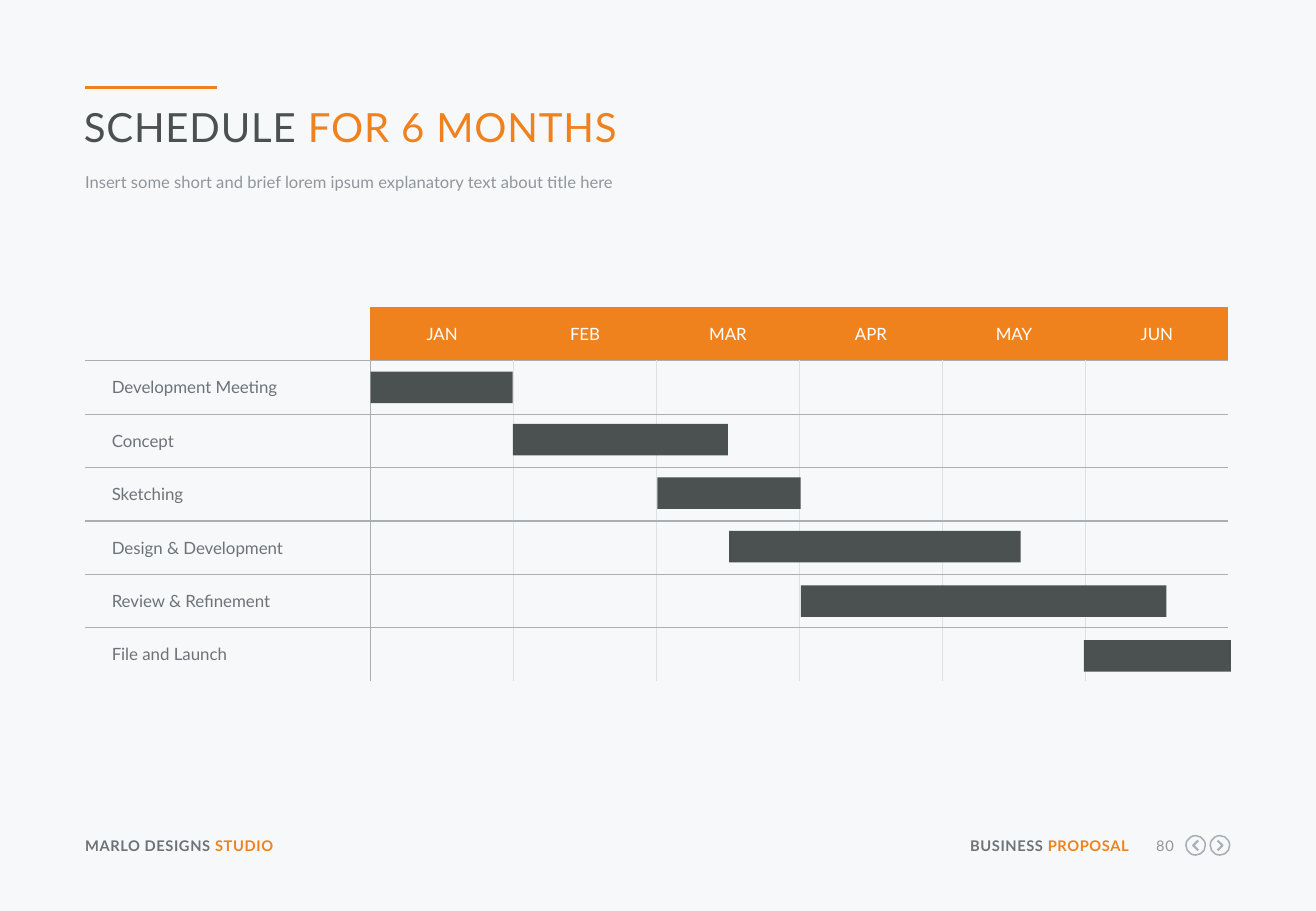
from pptx import Presentation
from pptx.dml.color import RGBColor
from pptx.enum.shapes import MSO_CONNECTOR, MSO_SHAPE
from pptx.enum.text import MSO_ANCHOR, PP_ALIGN
from pptx.oxml.ns import qn
from pptx.util import Inches, Pt
from lxml import etree

STRAIGHT = MSO_CONNECTOR.STRAIGHT
RECTANGLE, OVAL = MSO_SHAPE.RECTANGLE, MSO_SHAPE.OVAL
MIDDLE = MSO_ANCHOR.MIDDLE
LEFT, CENTER, RIGHT = PP_ALIGN.LEFT, PP_ALIGN.CENTER, PP_ALIGN.RIGHT

BACKGROUND = RGBColor(0xF6, 0xF8, 0xFA)
ORANGE = RGBColor(0xF0, 0x82, 0x1E)
DARK = RGBColor(0x4B, 0x50, 0x50)
SLATE = RGBColor(0x6E, 0x73, 0x78)
MUTED = RGBColor(0x91, 0x96, 0x9B)
RULE = RGBColor(0xAA, 0xAF, 0xB4)
FAINT_RULE = RGBColor(0xDC, 0xE1, 0xE6)
WHITE = RGBColor(0xFF, 0xFF, 0xFF)

FONT = "Lato"
NO_GRID_STYLE = "{2D5ABB26-0587-4C30-8999-92F81FD0307C}"

MARGIN = 0.7
TABLE_TOP, TABLE_WIDTH, TASK_WIDTH, ROW_HEIGHT = 2.53, 9.41, 2.35, 0.44
BAR_HEIGHT = 0.26
MONTHS = ["JAN", "FEB", "MAR", "APR", "MAY", "JUN"]
# task, bar left, bar top, bar width
TASKS = [
    ("Development Meeting", 3.05, 3.06, 1.17),
    ("Concept", 4.22, 3.49, 1.77),
    ("Sketching", 5.41, 3.93, 1.18),
    ("Design & Development", 6.0, 4.37, 2.4),
    ("Review & Refinement", 6.59, 4.82, 3.01),
    ("File and Launch", 8.92, 5.27, 1.21),
]


class ScheduleSlide:
    def __init__(self, presentation):
        self.slide = presentation.slides.add_slide(presentation.slide_layouts[6])
        self.shapes = self.slide.shapes
        fill = self.slide.background.fill
        fill.solid()
        fill.fore_color.rgb = BACKGROUND

    def add_run(self, paragraph, text, size, color, bold=False, spacing=0):
        run = paragraph.add_run()
        run.text = text
        run.font.name = FONT
        run.font.size = Pt(size)
        run.font.bold = bold
        run.font.color.rgb = color
        if spacing:
            run._r.get_or_add_rPr().set("spc", str(round(spacing * 100)))

    def text(self, left, top, width, height, parts, size, align=LEFT,
             bold=False, spacing=0, line_spacing=None):
        """Add a one-paragraph box; parts lists (text, colour) pairs."""
        frame = self.shapes.add_textbox(
            Inches(left), Inches(top), Inches(width), Inches(height)).text_frame
        frame.word_wrap = True
        frame.margin_left = frame.margin_right = 0
        frame.margin_top = frame.margin_bottom = 0
        paragraph = frame.paragraphs[0]
        paragraph.alignment = align
        if line_spacing:
            paragraph.line_spacing = Pt(line_spacing)
        for words, color in parts:
            self.add_run(paragraph, words, size, color, bold, spacing)

    def line(self, left, top, right, color, weight):
        rule = self.shapes.add_connector(
            STRAIGHT, Inches(left), Inches(top), Inches(right), Inches(top))
        rule.line.color.rgb = color
        rule.line.width = Pt(weight)
        etree.SubElement(rule._element.spPr, qn("a:effectLst"))

    def bar(self, left, top, width):
        bar = self.shapes.add_shape(
            RECTANGLE, Inches(left), Inches(top), Inches(width), Inches(BAR_HEIGHT))
        bar.shadow.inherit = False
        bar.fill.solid()
        bar.fill.fore_color.rgb = DARK
        bar.line.fill.background()

    def outline(self, shape, weight):
        shape.shadow.inherit = False
        shape.fill.background()
        shape.line.color.rgb = RULE
        shape.line.width = Pt(weight)

    def arrow_button(self, center_x, center_y, direction):
        """Add a ringed chevron; direction is -1 for back, 1 for forward."""
        radius = 0.08
        ring = self.shapes.add_shape(
            OVAL, Inches(center_x - radius), Inches(center_y - radius),
            Inches(2 * radius), Inches(2 * radius))
        self.outline(ring, 0.9)
        tail, tip = center_x - 0.02 * direction, center_x + 0.02 * direction
        builder = self.shapes.build_freeform(Inches(tail), Inches(center_y - 0.04))
        builder.add_line_segments(
            [(Inches(tip), Inches(center_y)),
             (Inches(tail), Inches(center_y + 0.04))], close=False)
        self.outline(builder.convert_to_shape(), 1.25)

    def border(self, cell, side, color):
        line = etree.SubElement(
            cell._tc.get_or_add_tcPr(), qn(f"a:ln{side}"), w=str(Pt(0.75)))
        fill = etree.SubElement(line, qn("a:solidFill"))
        etree.SubElement(fill, qn("a:srgbClr"), val=str(color))

    def cell_borders(self, cell, row, column):
        def vertical(edge):
            if row == 0:
                return ORANGE
            return RULE if edge == 1 else FAINT_RULE

        if column > 0:
            self.border(cell, "L", vertical(column))
        if column < len(MONTHS):
            self.border(cell, "R", vertical(column + 1))
        if row > 0:
            self.border(cell, "T", RULE)
        if row < len(TASKS):
            self.border(cell, "B", RULE)

    def schedule_table(self):
        rows, columns = len(TASKS) + 1, len(MONTHS) + 1
        table = self.shapes.add_table(
            rows, columns, Inches(MARGIN), Inches(TABLE_TOP),
            Inches(TABLE_WIDTH), Inches(rows * ROW_HEIGHT)).table
        table.first_row = table.horz_banding = False
        table._tbl.tblPr.find(qn("a:tableStyleId")).text = NO_GRID_STYLE
        month_width = (TABLE_WIDTH - TASK_WIDTH) / len(MONTHS)
        for index, column in enumerate(table.columns):
            column.width = Inches(month_width if index else TASK_WIDTH)
        for row in range(rows):
            table.rows[row].height = Inches(ROW_HEIGHT)
            for column in range(columns):
                self.schedule_cell(table.cell(row, column), row, column)

    def schedule_cell(self, cell, row, column):
        is_month = row == 0 and column > 0
        is_task = row > 0 and column == 0
        cell.margin_left = Inches(0.22 if is_task else 0)
        cell.margin_right = cell.margin_top = cell.margin_bottom = 0
        cell.vertical_anchor = MIDDLE
        self.cell_borders(cell, row, column)
        paragraph = cell.text_frame.paragraphs[0]
        if is_month:
            cell.fill.solid()
            cell.fill.fore_color.rgb = ORANGE
            paragraph.alignment = CENTER
            self.add_run(paragraph, MONTHS[column - 1], 10, WHITE)
        else:
            cell.fill.background()
        if is_task:
            self.add_run(paragraph, TASKS[row - 1][0], 10, SLATE)


def main():
    presentation = Presentation()
    presentation.slide_width = Inches(10.83)
    presentation.slide_height = Inches(7.5)
    schedule = ScheduleSlide(presentation)

    schedule.line(MARGIN, 0.72, 1.79, ORANGE, 2.25)
    schedule.text(MARGIN, 6.89, 2.11, 0.15,
                  [("MARLO DESIGNS ", SLATE), ("STUDIO", ORANGE)],
                  8.7, bold=True, spacing=0.3)
    schedule.text(7.92, 6.89, 1.37, 0.15,
                  [("BUSINESS ", SLATE), ("PROPOSAL", ORANGE)],
                  8.7, RIGHT, bold=True, spacing=0.3)
    schedule.text(9.41, 6.89, 0.25, 0.15, [("80", MUTED)], 8.7, RIGHT, spacing=0.3)
    schedule.arrow_button(10.04, 6.96, 1)
    schedule.arrow_button(9.84, 6.96, -1)

    schedule.text(0.69, 0.84, 9.42, 0.41,
                  [("SCHEDULE ", DARK), ("FOR 6 MONTHS", ORANGE)], 23.8, spacing=0.5)
    schedule.text(MARGIN, 1.4, 9.42, 0.21,
                  [("Insert some short and brief lorem ipsum explanatory text "
                    "about title here", MUTED)], 9.8, line_spacing=13)

    schedule.schedule_table()
    for _, left, top, width in TASKS:
        schedule.bar(left, top, width)

    presentation.save("out.pptx")


if __name__ == "__main__":
    main()
